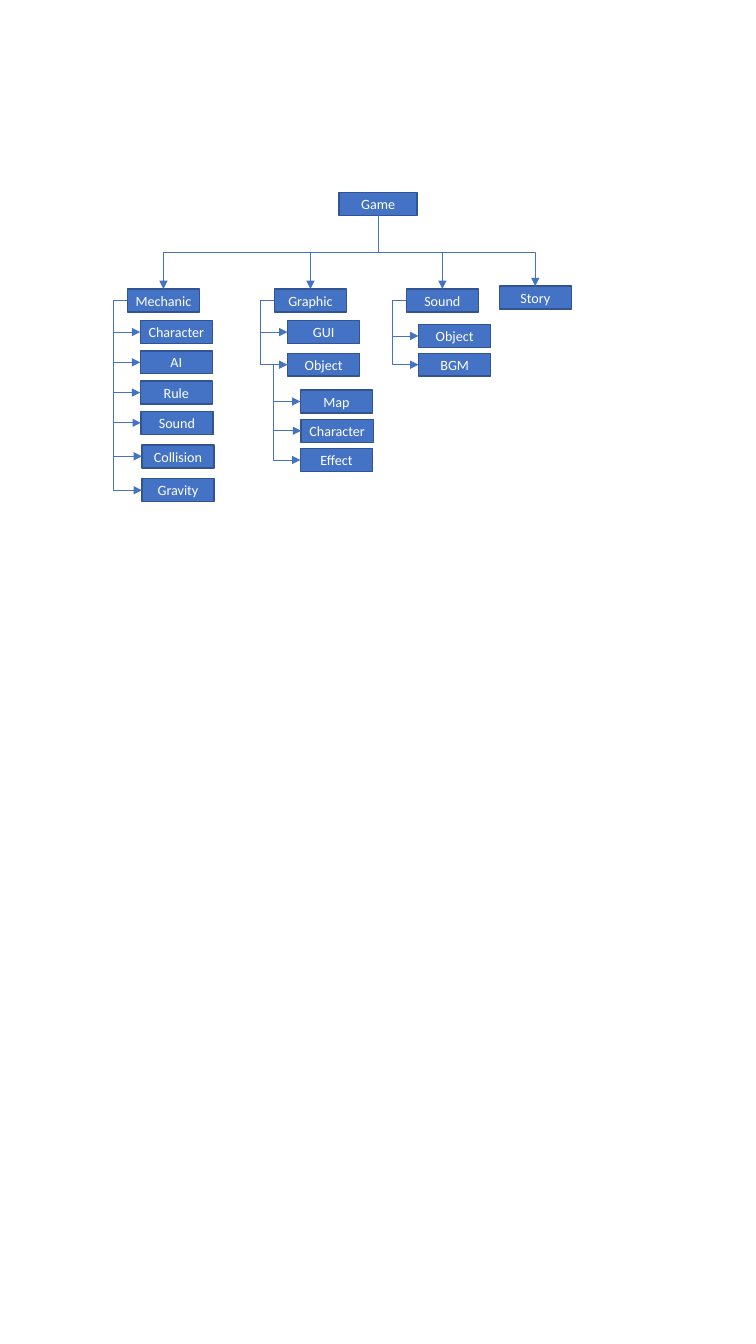
"""Draw the breakdown of a game into mechanics, graphics, sound and story."""
from pptx import Presentation
from pptx.dml.color import RGBColor
from pptx.enum import shapes, text
from pptx.oxml.ns import qn
from pptx.util import Pt
from lxml import etree

BLUE = RGBColor(0x44, 0x72, 0xC4)
NAVY = RGBColor(0x32, 0x54, 0x91)
WHITE = RGBColor(0xFF, 0xFF, 0xFF)
TOP, LEFT, BOTTOM = 0, 1, 2
RAIL_Y = Pt(180.4)
RAIL_GAP = Pt(10)

deck = Presentation()
deck.slide_width, deck.slide_height = Pt(540), Pt(960)
slide = deck.slides.add_slide(deck.slide_layouts[6])


def add_box(label, left, top, width=51.5, size=10.1, color=WHITE):
    box = slide.shapes.add_shape(shapes.MSO_SHAPE.RECTANGLE, Pt(left), Pt(top), Pt(width), Pt(16.4))
    box.shadow.inherit = False
    box.fill.solid()
    box.fill.fore_color.rgb = BLUE
    box.line.color.rgb = NAVY
    box.line.width = Pt(1)
    frame = box.text_frame
    frame.word_wrap = True
    frame.vertical_anchor = text.MSO_ANCHOR.MIDDLE
    frame.margin_left = frame.margin_right = Pt(4)
    frame.margin_top = frame.margin_bottom = Pt(2)
    paragraph = frame.paragraphs[0]
    paragraph.alignment = text.PP_ALIGN.CENTER
    run = paragraph.add_run()
    run.text = label
    run.font.name = "Calibri"
    run.font.size = Pt(size)
    run.font.color.rgb = color
    return box


def add_arrow(parent, child, begin_side, end_side):
    arrow = slide.shapes.add_connector(shapes.MSO_CONNECTOR.ELBOW, 0, 0, 0, 0)
    arrow.begin_connect(parent, begin_side)
    arrow.end_connect(child, end_side)
    properties = arrow._element.spPr
    if begin_side == BOTTOM:
        across = arrow.end_x - arrow.begin_x
        down = arrow.end_y - arrow.begin_y
        bend = (RAIL_Y - arrow.begin_y) / down
        center_x = (arrow.begin_x + arrow.end_x) // 2
        center_y = (arrow.begin_y + arrow.end_y) // 2
        frame = properties.find(qn("a:xfrm"))
        frame.set("rot", "5400000" if across < 0 else "16200000")
        frame.set("flipH", "0" if across < 0 else "1")
        arrow.width, arrow.height = down, abs(across)
        arrow.left, arrow.top = center_x - down // 2, center_y - abs(across) // 2
    else:
        bend = -RAIL_GAP / arrow.width
    guides = properties.find(qn("a:prstGeom")).find(qn("a:avLst"))
    etree.SubElement(guides, qn("a:gd"), name="adj1", fmla=f"val {round(bend * 100000)}")
    arrow.line.color.rgb = BLUE
    arrow.line.width = Pt(0.5)
    etree.SubElement(properties.find(qn("a:ln")), qn("a:tailEnd"), type="triangle")
    etree.SubElement(properties, qn("a:effectLst"))


mechanic_parts = [(label, 100.2, 229 + 21.6 * row)
                  for row, label in enumerate(["Character", "AI", "Rule"])]
mechanic_parts += [("Sound", 100.6, 293.8), ("Collision", 101.4, 317.8), ("Gravity", 101.4, 342)]
graphic_parts = [("GUI", 205.4, 229), ("Object", 205.4, 252.3)]
object_parts = [("Map", 214.6, 278.6), ("Character", 215.1, 299.5), ("Effect", 214.6, 320.4)]
sound_parts = [("Object", 299, 231.8), ("BGM", 299, 252.3)]
branches = [
    ("Mechanic", 91, 206.4, mechanic_parts),
    ("Graphic", 196, 206.4, graphic_parts),
    ("Sound", 290.2, 206.4, sound_parts),
    ("Story", 356.6, 204.4, []),
]

game = add_box("Game", 242.2, 137.4, width=55.8)
for branch_label, branch_left, branch_top, parts in branches:
    branch = add_box(branch_label, branch_left, branch_top)
    add_arrow(game, branch, BOTTOM, TOP)
    for part in parts:
        part_box = add_box(*part)
        add_arrow(branch, part_box, LEFT, LEFT)
        if parts is graphic_parts and part[0] == "Object":
            for object_part in object_parts:
                add_arrow(part_box, add_box(*object_part), LEFT, LEFT)

deck.save("out.pptx")
